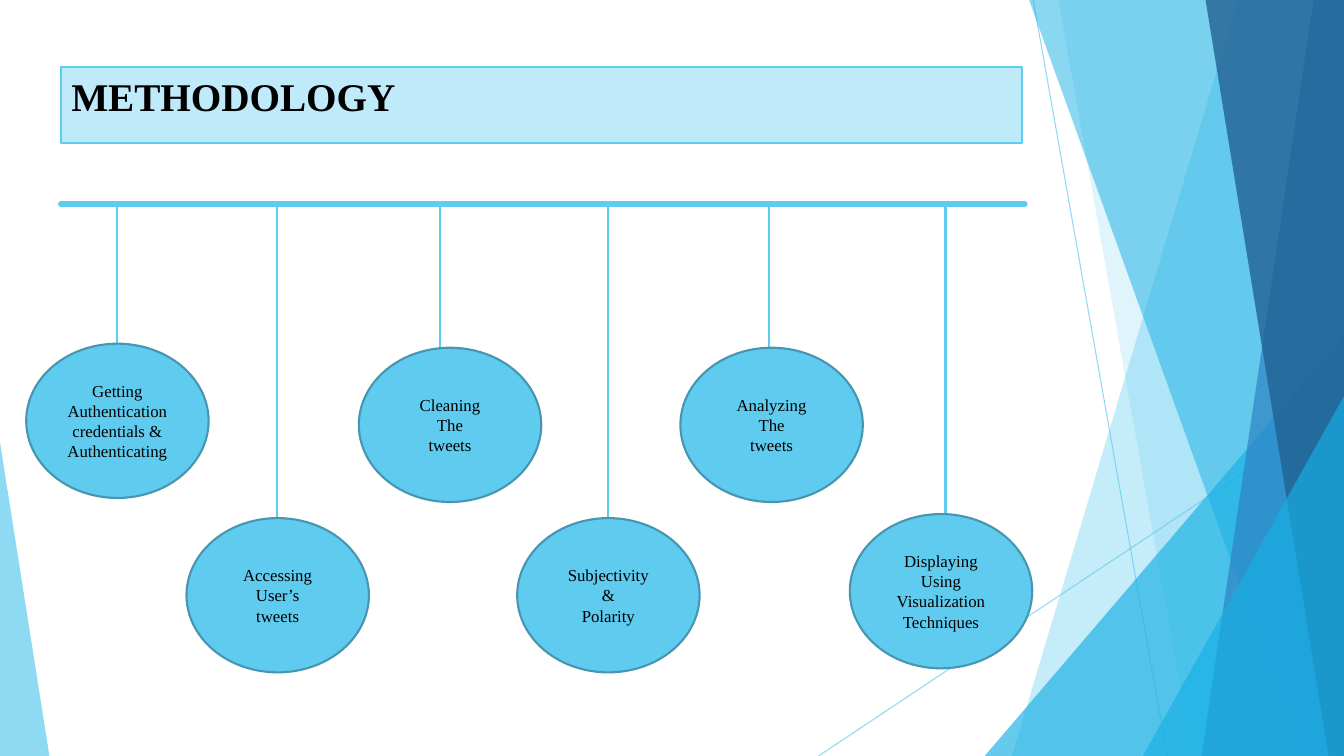
from lxml.etree import SubElement
from pptx import Presentation
from pptx.dml.color import RGBColor
from pptx.enum.shapes import MSO_CONNECTOR, MSO_SHAPE
from pptx.enum.text import MSO_ANCHOR, MSO_AUTO_SIZE, PP_ALIGN
from pptx.oxml.ns import qn
from pptx.util import Pt

FONT = "Times New Roman"
SKY, AZURE, BLUE, NAVY = "5FCBEF", "17B0E4", "2E83C3", "226292"
WIDTH, HEIGHT = 960, 540
RAIL_Y = 145.5
STEP_WIDTH, STEP_HEIGHT = 130.3, 110.2

# Corner points, colour, opacity in percent
BANDS_BEHIND = [
    ([(884.2, 0), (WIDTH, 0), (WIDTH, HEIGHT), (722.9, HEIGHT)], SKY, 36),
    ([(756, 0), (WIDTH, 0), (WIDTH, HEIGHT), (851.8, HEIGHT)], SKY, 20),
]
BANDS_FRONT = [
    ([(735.1, 0), (WIDTH, 0), (WIDTH, HEIGHT), (929.5, HEIGHT)], AZURE, 50),
    ([(938.2, 0), (WIDTH, 0), (WIDTH, HEIGHT), (858.2, HEIGHT)], BLUE, 70),
    ([(861.1, 0), (WIDTH, 0), (WIDTH, HEIGHT), (949, HEIGHT)], NAVY, 80),
]
# Stem x, oval left, oval top, lines of text
STEPS = [
    (83.5, 18.7, 245.5, ["Getting Authentication credentials & Authenticating"]),
    (198, 133.2, 370.1, ["Accessing", "User’s", "tweets"]),
    (314.6, 256.3, 248.4, ["Cleaning", "The", "tweets"]),
    (434.2, 369.4, 370.1, ["Subjectivity", "&", "Polarity"]),
    (549.4, 486, 248.4, ["Analyzing", "The", "tweets"]),
    (675.4, 607, 367.2, ["Displaying", "Using", "Visualization", "Techniques"]),
]


def set_color(paint, color, opacity=100):
    """Colour a fill, or the fill of a line, with an optional opacity."""
    paint.solid()
    paint.fore_color.rgb = RGBColor.from_string(color)
    if opacity < 100:
        for element in paint.fore_color._xFill.iter(qn("a:srgbClr")):
            SubElement(element, qn("a:alpha"), val=str(opacity * 1000))


def add_run(paragraph, text, size, bold=False):
    run = paragraph.add_run()
    run.text = text
    run.font.name = FONT
    run.font.size = Pt(size)
    run.font.bold = bold
    set_color(run.font.fill, "000000")


def add_line(slide, start, end, width, opacity=100, round_cap=False):
    line = slide.shapes.add_connector(
        MSO_CONNECTOR.STRAIGHT, *[Pt(length) for length in (*start, *end)])
    line.line.width = Pt(width)
    set_color(line.line.fill, SKY, opacity)
    if round_cap:
        line.line._get_or_add_ln().set("cap", "rnd")
    SubElement(line._element.spPr, qn("a:effectLst"))


def finish_decoration(shape, color, opacity):
    shape.shadow.inherit = False
    shape.line.fill.background()
    set_color(shape.fill, color, opacity)


def add_band(slide, corners, color, opacity):
    first, *others = [(Pt(x), Pt(y)) for x, y in corners]
    builder = slide.shapes.build_freeform(*first)
    builder.add_line_segments(others, close=True)
    finish_decoration(builder.convert_to_shape(), color, opacity)


def add_triangle(slide, left, top, width, apex, color, opacity):
    """Add a triangle standing on the slide's bottom edge."""
    triangle = slide.shapes.add_shape(
        MSO_SHAPE.ISOSCELES_TRIANGLE, Pt(left), Pt(top), Pt(width), Pt(HEIGHT - top))
    triangle.adjustments[0] = apex
    finish_decoration(triangle, color, opacity)


def add_decoration(slide):
    add_line(slide, (738, 0), (833.8, HEIGHT), 0.75, 70)
    add_line(slide, (WIDTH, 290.2), (584.6, HEIGHT), 0.75, 70)
    for band in BANDS_BEHIND:
        add_band(slide, *band)
    add_triangle(slide, 703.4, 239.8, 256.6, 1, AZURE, 66)
    for band in BANDS_FRONT:
        add_band(slide, *band)
    add_triangle(slide, 816.5, 283, 143.5, 1, AZURE, 66)
    add_triangle(slide, 0, 316.1, 35.3, 0, SKY, 70)


def format_title(title, text):
    title.left, title.top, title.width, title.height = Pt(43.7), Pt(48), Pt(686.4), Pt(54.4)
    set_color(title.fill, "BFEAF9")
    set_color(title.line.fill, SKY)
    title.line.width = Pt(1.5)
    frame = title.text_frame
    frame.auto_size = MSO_AUTO_SIZE.NONE
    frame.vertical_anchor = MSO_ANCHOR.TOP
    frame.paragraphs[0].alignment = PP_ALIGN.LEFT
    add_run(frame.paragraphs[0], text, 28, bold=True)


def add_step(slide, stem_x, left, top, lines):
    """Add an oval hanging from the rail on its stem."""
    add_line(slide, (stem_x, RAIL_Y), (stem_x, top + 2), 1.5)
    oval = slide.shapes.add_shape(
        MSO_SHAPE.OVAL, Pt(left), Pt(top), Pt(STEP_WIDTH), Pt(STEP_HEIGHT))
    oval.shadow.inherit = False
    set_color(oval.fill, SKY)
    set_color(oval.line.fill, "4696B1")
    oval.line.width = Pt(1.5)
    frame = oval.text_frame
    frame.word_wrap = True
    frame.vertical_anchor = MSO_ANCHOR.MIDDLE
    for index, text in enumerate(lines):
        paragraph = frame.add_paragraph() if index else frame.paragraphs[0]
        paragraph.alignment = PP_ALIGN.CENTER
        add_run(paragraph, text, 12)


def main():
    presentation = Presentation()
    presentation.slide_width, presentation.slide_height = Pt(WIDTH), Pt(HEIGHT)
    slide = presentation.slides.add_slide(presentation.slide_layouts[5])
    format_title(slide.shapes.title, "METHODOLOGY")
    add_decoration(slide)
    add_line(slide, (70.4, 162), (70.4, 162), 1)
    add_line(slide, (43.7, RAIL_Y), (731.8, RAIL_Y), 4.5, round_cap=True)
    for step in STEPS:
        add_step(slide, *step)
    presentation.save("out.pptx")


if __name__ == "__main__":
    main()
